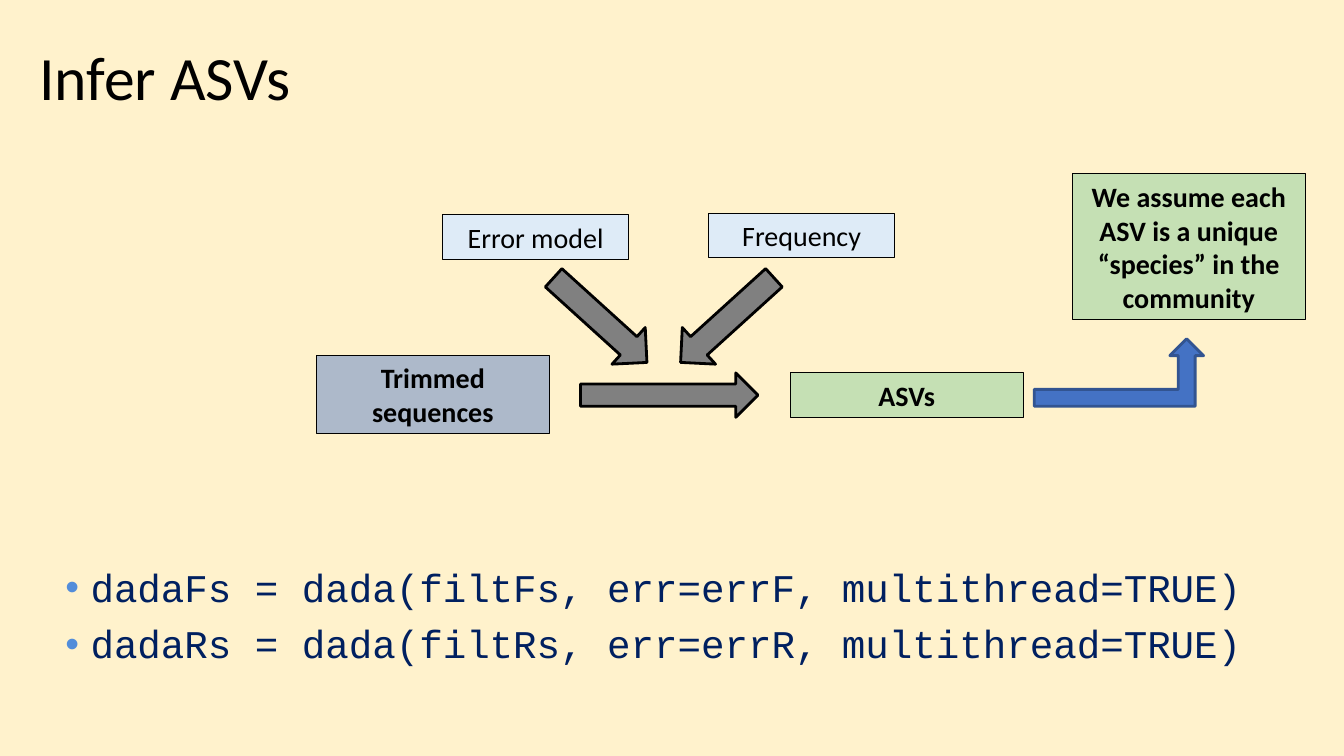
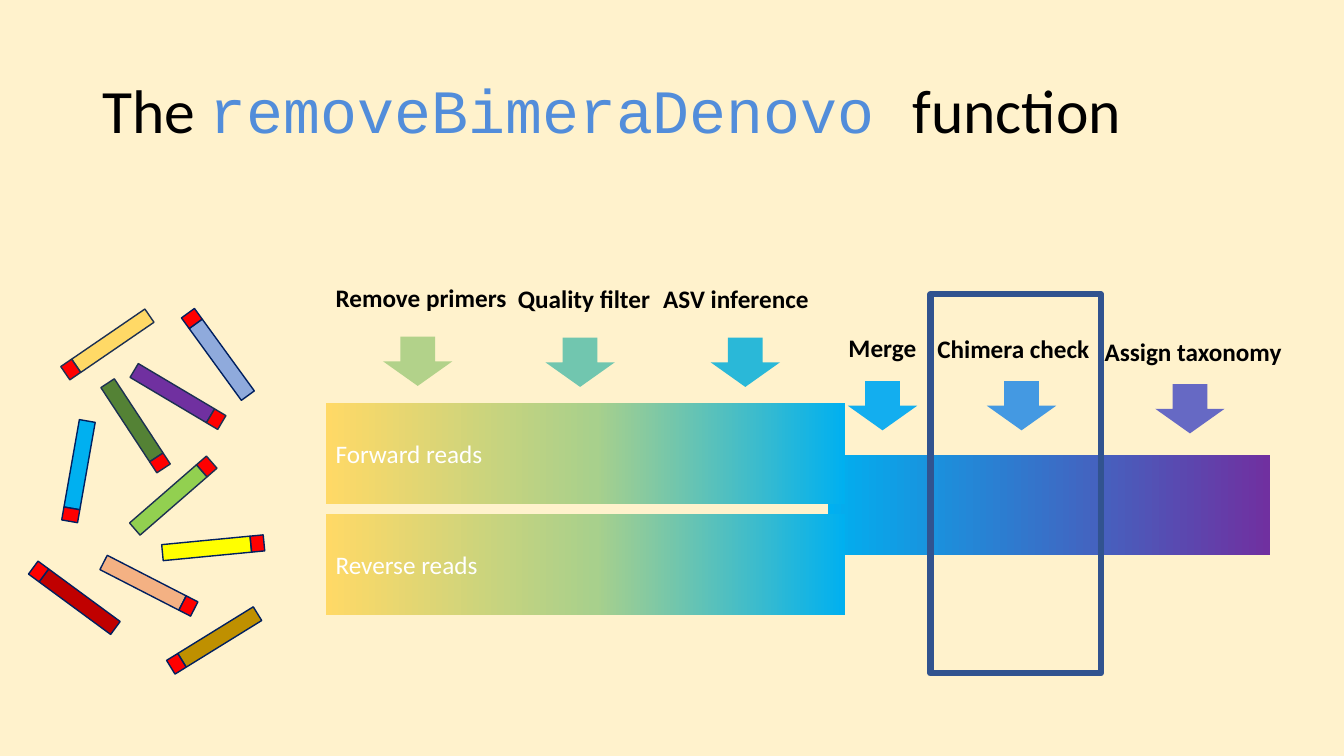
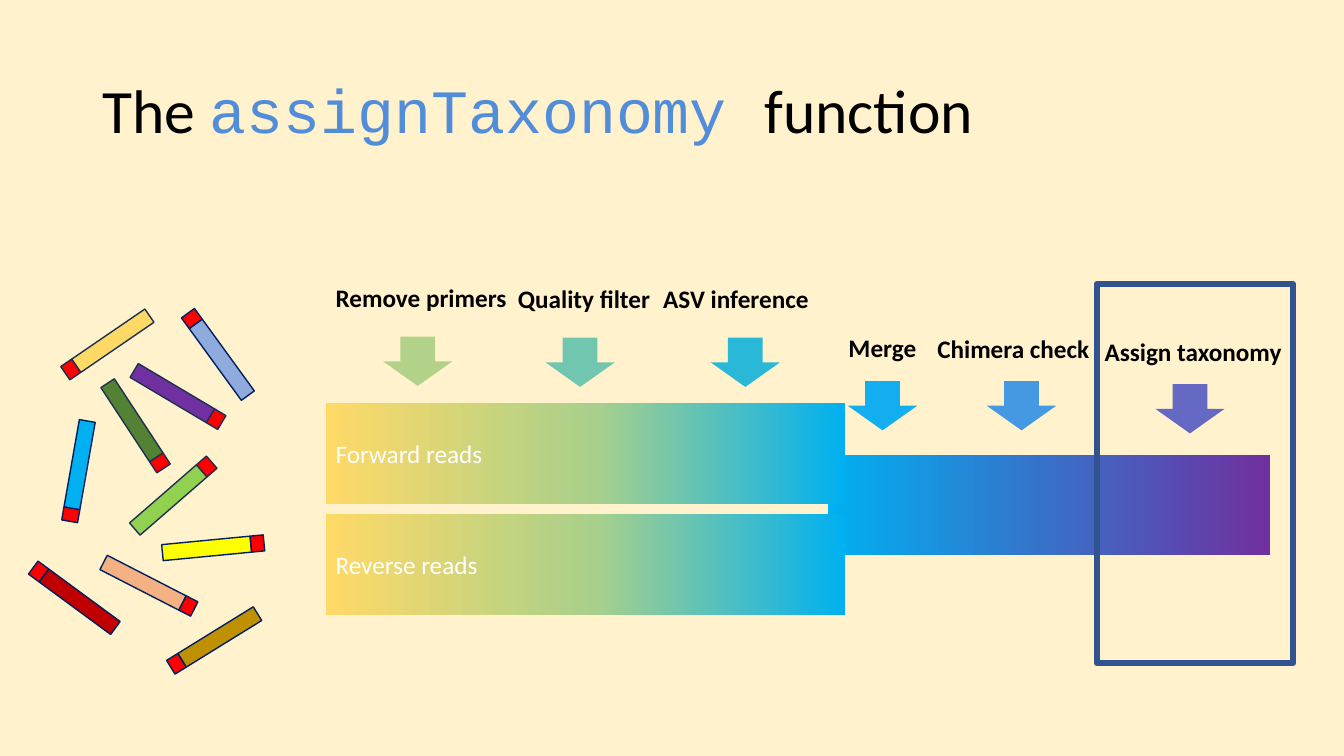
from math import cos, radians, sin

from lxml import etree
from pptx import Presentation
from pptx.dml.color import RGBColor
from pptx.enum.shapes import MSO_SHAPE
from pptx.enum.text import MSO_ANCHOR, MSO_AUTO_SIZE, PP_ALIGN
from pptx.oxml.ns import qn
from pptx.util import Pt

RECTANGLE = MSO_SHAPE.RECTANGLE
RIGHT_ARROW = MSO_SHAPE.RIGHT_ARROW
LEFT_ARROW = MSO_SHAPE.LEFT_ARROW
DOWN_ARROW = MSO_SHAPE.DOWN_ARROW
BENT_UP_ARROW = MSO_SHAPE.BENT_UP_ARROW
MIDDLE, TOP = MSO_ANCHOR.MIDDLE, MSO_ANCHOR.TOP
LEFT, CENTER = PP_ALIGN.LEFT, PP_ALIGN.CENTER

SANS, MONO = "Calibri", "Courier New"
CREAM, BLACK, WHITE = "FFF2CC", "000000", "FFFFFF"
NAVY, SLATE, CODE_BLUE = "002060", "1C3052", "528DDA"
GREEN, GREY, PALE_BLUE = "C5E0B4", "808080", "DEEBF7"
PRIMER_RED, FRAME_BLUE = "FF0000", "31538F"

READ_STOPS = [(0, "FFD966"), (52, "A8D08C"), (100, "00B0F0")]
MERGED_STOPS = [(0, "00B0F0"), (100, "7030A0")]

# label, arrow colour, label left, label top, label width, arrow centre, arrow top
STEPS = [
    ("Remove primers", "B2D28A", 0, 0, 137.5, 65.8, 42.5),
    ("Quality filter", "71C6AF", 130.3, 0.7, 110.2, 181.8, 43.2),
    ("ASV inference", "2AB8D8", 234, 0.7, 118.8, 299.8, 43.2),
    ("Merge", "13AEEF", 366.4, 36, 63.4, 397.8, 74.2),
    ("Chimera check", "4499E2", 429.8, 36.7, 123.8, 497.1, 74.2),
    ("Assign taxonomy", "6669C4", 549.3, 38.2, 141.8, 617.4, 76.4),
]

# centre x, centre y, rotation, fill, outline
READS = [
    (60.6, 23.4, 325.6, "FFD966", SLATE),
    (103.1, 60.8, 210.7, "7030A0", SLATE),
    (74.3, 80.2, 236.7, "548235", SLATE),
    (100.2, 137.1, 139, "92D050", SLATE),
    (36.9, 111.9, 280, "00B0F0", NAVY),
    (82.2, 196.2, 207.2, "F4B183", NAVY),
    (127.6, 171.7, 174.5, "FFFF00", NAVY),
    (36.9, 209.8, 36.3, "C00000", NAVY),
    (137, 235, 328.3, "BF9000", NAVY),
    (138.4, 37, 54, "8FAADC", NAVY),
]
READ_LENGTH, PRIMER_LENGTH, READ_HEIGHT = 63.4, 9.4, 11.5


def color(hex_string):
    return RGBColor.from_string(hex_string)


def add_block(shapes, kind, box, fill=None, outline=None, weight=0.75, rotation=0):
    shape = shapes.add_shape(kind, *map(Pt, box))
    shape.shadow.inherit = False
    shape.rotation = rotation
    if fill:
        shape.fill.solid()
        shape.fill.fore_color.rgb = color(fill)
    else:
        shape.fill.background()
    if outline:
        shape.line.color.rgb = color(outline)
        shape.line.width = Pt(weight)
    else:
        shape.line.fill.background()
    return shape


def set_gradient(shape, stops):
    shape.fill.gradient()
    shape.fill.gradient_angle = 0
    stop_list = shape._element.spPr.find(".//" + qn("a:gsLst"))
    for stop in list(stop_list):
        stop_list.remove(stop)
    for percent, hex_string in stops:
        stop = etree.SubElement(stop_list, qn("a:gs"), pos=str(percent * 1000))
        etree.SubElement(stop, qn("a:srgbClr"), val=hex_string)


def set_frame(shape, anchor, wrap=True):
    frame = shape.text_frame
    frame.word_wrap = wrap
    frame.auto_size = MSO_AUTO_SIZE.NONE
    frame.vertical_anchor = anchor
    return frame


def add_run(paragraph, text, size, font=SANS, hex_string=BLACK, bold=False):
    run = paragraph.add_run()
    run.text = text
    run.font.size = Pt(size)
    run.font.name = font
    run.font.bold = bold
    run.font.color.rgb = color(hex_string)


def write_line(shape, text, size, align=LEFT, wrap=True, **style):
    paragraph = set_frame(shape, MIDDLE, wrap).paragraphs[0]
    paragraph.alignment = align
    add_run(paragraph, text, size, **style)


def add_titled_slide(presentation, box, runs):
    slide = presentation.slides.add_slide(presentation.slide_layouts[5])
    title = slide.shapes.title
    title.left, title.top, title.width, title.height = map(Pt, box)
    paragraph = set_frame(title, MIDDLE).paragraphs[0]
    paragraph.alignment = LEFT
    paragraph.line_spacing = 0.9
    for text, font, hex_string in runs:
        add_run(paragraph, text, 44, font, hex_string)
    return slide


def add_code_bullets(slide, box, lines):
    frame = set_frame(slide.shapes.add_textbox(*map(Pt, box)), TOP)
    for index, line in enumerate(lines):
        paragraph = frame.paragraphs[0] if index == 0 else frame.add_paragraph()
        properties = paragraph._p.get_or_add_pPr()
        properties.set("marL", str(Pt(18)))
        properties.set("indent", str(-Pt(18)))
        bullet_color = etree.SubElement(properties, qn("a:buClr"))
        etree.SubElement(bullet_color, qn("a:srgbClr"), val=CODE_BLUE)
        etree.SubElement(properties, qn("a:buFont"), typeface="Arial")
        etree.SubElement(properties, qn("a:buChar"), char="•")
        paragraph.line_spacing = 0.9
        if index:
            paragraph.space_before = Pt(10)
        add_run(paragraph, line, 28, MONO, NAVY)


def add_inference_diagram(slide, left, top):
    boxes = [
        ("ASVs", 338.5, 142.4, 166.3, 31.7, GREEN, True),
        ("Trimmed sequences", 0, 130, 166.3, 55.4, "ADB9CA", True),
        ("Error model", 90, 29.5, 133.2, 31.7, PALE_BLUE, False),
        ("Frequency", 280, 28.5, 133.2, 31.7, PALE_BLUE, False),
        ("We assume each ASV is a unique “species” in the community",
         540, 0, 166.3, 104.4, GREEN, True),
    ]
    for text, x, y, width, height, fill, bold in boxes:
        shape = add_block(slide.shapes, RECTANGLE, (left + x, top + y, width, height),
                          fill, BLACK)
        write_line(shape, text, 20, CENTER, bold=bold)
    arrows = [
        (RIGHT_ARROW, 188.7, 142.4, 126.7, 31.7, GREY, BLACK, 0),
        (RIGHT_ARROW, 157.8, 87, 90, 35.3, GREY, BLACK, 42.2),
        (LEFT_ARROW, 248.5, 87, 90, 35.3, GREY, BLACK, 317.8),
        (BENT_UP_ARROW, 512.7, 118, 121, 48.2, "4472C4", "325491", 0),
    ]
    for kind, x, y, width, height, fill, outline, rotation in arrows:
        add_block(slide.shapes, kind, (left + x, top + y, width, height),
                  fill, outline, 2, rotation)


def add_read_cloud(slide, left, top):
    """Scatter coloured reads, each with a red primer at its start."""
    reach = (READ_LENGTH + PRIMER_LENGTH) / 2
    for x, y, rotation, fill, outline in READS:
        group = slide.shapes.add_group_shape()
        angle = radians(rotation)
        parts = [(0, READ_LENGTH, fill), (reach, PRIMER_LENGTH, PRIMER_RED)]
        for distance, length, part_fill in parts:
            center_x = left + x - distance * cos(angle)
            center_y = top + y - distance * sin(angle)
            box = (center_x - length / 2, center_y - READ_HEIGHT / 2, length, READ_HEIGHT)
            add_block(group.shapes, RECTANGLE, box, part_fill, outline, 1, rotation)


def add_workflow(slide, left, top, highlight):
    """Draw the read bars and the steps, with a frame around one step."""
    merged = add_block(slide.shapes, RECTANGLE, (left + 358.5, top + 126.7, 316, 72))
    set_gradient(merged, MERGED_STOPS)
    for index, text in enumerate(["Forward reads", "Reverse reads"]):
        bar = add_block(slide.shapes, RECTANGLE,
                        (left, top + 90 + index * 79.2, 370.8, 72))
        set_gradient(bar, READ_STOPS)
        write_line(bar, text, 18, hex_string=WHITE)
    for text, fill, x, y, width, arrow_center, arrow_top in STEPS:
        label = slide.shapes.add_textbox(Pt(left + x), Pt(top + y), Pt(width), Pt(29))
        write_line(label, text, 18, wrap=False, bold=True)
        add_block(slide.shapes, DOWN_ARROW,
                  (left + arrow_center - 24.8, top + arrow_top, 49.6, 35.2), fill)
    x, y, width, height = highlight
    add_block(slide.shapes, RECTANGLE, (left + x, top + y, width, height),
              outline=FRAME_BLUE, weight=4.5)


def add_function_slide(presentation, function_name, highlight):
    runs = [("The ", SANS, BLACK), (function_name + " ", MONO, CODE_BLUE),
            ("function", SANS, BLACK)]
    slide = add_titled_slide(presentation, (66, 29, 828, 104.4), runs)
    add_workflow(slide, 232.6, 198, highlight)
    add_read_cloud(slide, 20, 220)


def add_inference_slide(presentation):
    slide = add_titled_slide(presentation, (21, 22, 828, 70.6),
                             [("Infer ASVs", SANS, BLACK)])
    add_code_bullets(slide, (39.6, 402.5, 860.4, 98.6), [
        "dadaFs = dada(filtFs, err=errF, multithread=TRUE)",
        "dadaRs = dada(filtRs, err=errR, multithread=TRUE)",
    ])
    add_inference_diagram(slide, 226, 124)


def main():
    presentation = Presentation()
    presentation.slide_width, presentation.slide_height = Pt(960), Pt(540)
    background = presentation.slide_master.background.fill
    background.solid()
    background.fore_color.rgb = color(CREAM)
    add_inference_slide(presentation)
    add_function_slide(presentation, "removeBimeraDenovo", (432, 12.2, 121.7, 270.7))
    add_function_slide(presentation, "assignTaxonomy", (550.8, 5, 140.4, 270.7))
    presentation.save("out.pptx")


if __name__ == "__main__":
    main()
